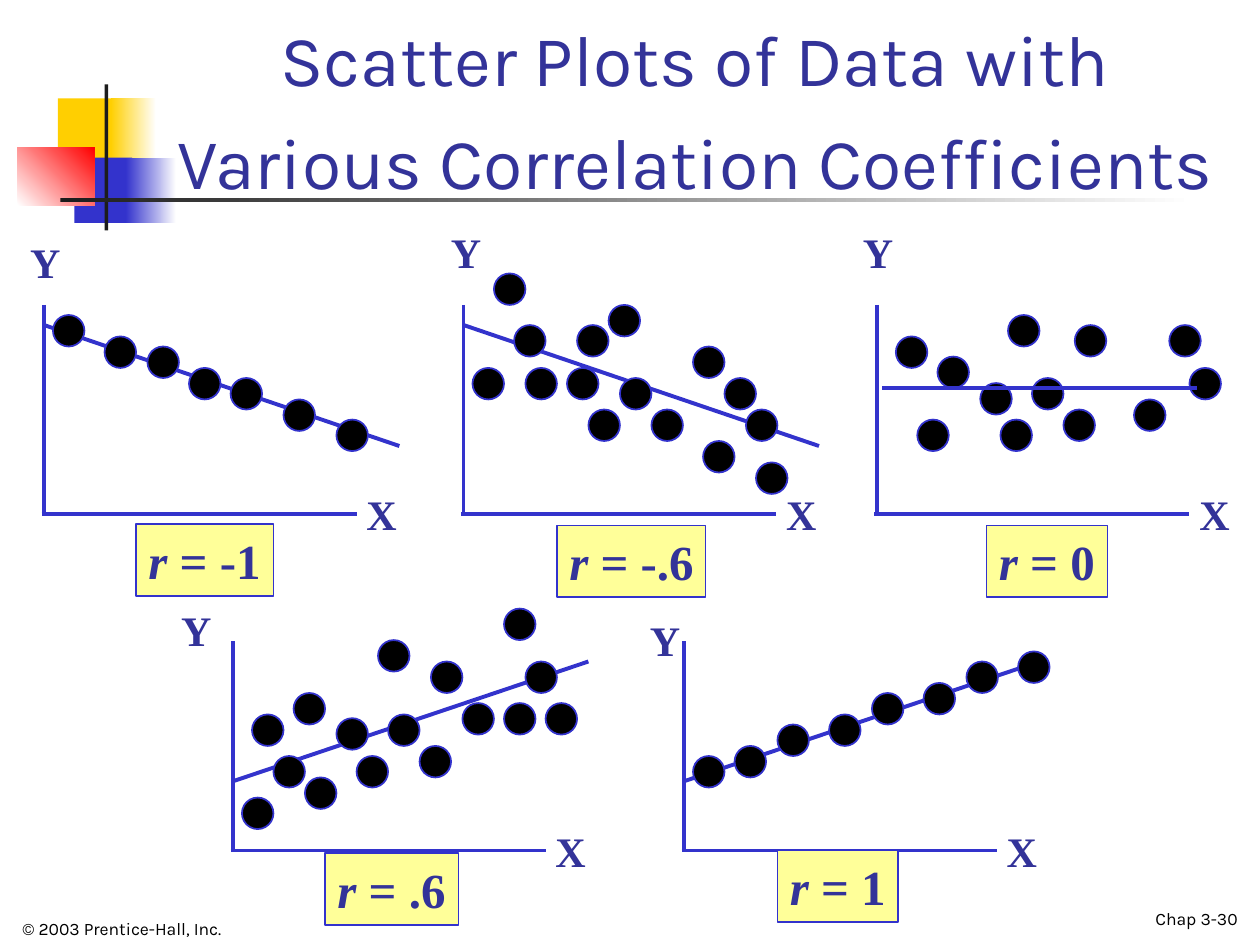
from lxml import etree
from pptx import Presentation
from pptx.dml.color import RGBColor
from pptx.enum import shapes, text
from pptx.oxml.ns import qn
from pptx.util import Inches, Pt

WHITE = RGBColor(0xFF, 0xFF, 0xFF)
BLACK = RGBColor(0x00, 0x00, 0x00)
CHARCOAL = RGBColor(0x1C, 0x1C, 0x1C)
GOLD = RGBColor(0xFF, 0xCF, 0x01)
RED = RGBColor(0xFF, 0x00, 0x00)
BLUE = RGBColor(0x33, 0x33, 0xCC)
NAVY = RGBColor(0x33, 0x33, 0x99)
CREAM = RGBColor(0xFF, 0xFF, 0x99)

DOT = 0.25
AXIS_HEIGHT = 1.66
AXIS_WIDTH = 2.5

deck = Presentation()
deck.slide_width = Inches(10)
deck.slide_height = Inches(7.5)
page = deck.slides.add_slide(deck.slide_layouts[6])


def add_line(start, end, width):
    line = page.shapes.add_connector(
        shapes.MSO_CONNECTOR.STRAIGHT, *(Inches(v) for v in (*start, *end)))
    line.line.color.rgb = BLUE
    line.line.width = Pt(width)
    etree.SubElement(line._element.spPr, qn("a:effectLst"))


def add_text(place, words, font, size, color, align=text.PP_ALIGN.LEFT,
             anchor=text.MSO_ANCHOR.BOTTOM, wrap=True):
    box = page.shapes.add_textbox(*(Inches(v) for v in place))
    frame = box.text_frame
    frame.word_wrap = wrap
    frame.vertical_anchor = anchor
    para = frame.paragraphs[0]
    para.text = words
    para.alignment = align
    para.font.name = font
    para.font.size = Pt(size)
    para.font.color.rgb = color
    return para


# Corner ornament: (place, colours from start to end, gradient angle)
ornament = [
    ((0.46, 0.78, 0.48, 0.52), [GOLD], 0),
    ((0.88, 0.78, 0.36, 0.52), [GOLD, WHITE], 0),
    ((0.59, 1.25, 0.46, 0.52), [BLUE], 0),
    ((1, 1.25, 0.4, 0.52), [BLUE, WHITE], 0),
    ((0.14, 1.17, 0.61, 0.46), [WHITE, RED], 45),
    ((0.83, 0.67, 0.03, 1.16), [CHARCOAL], 0),
    ((0.48, 1.57, 9, 0.03), [CHARCOAL, WHITE], 0),
]
for place, colors, angle in ornament:
    block = page.shapes.add_shape(
        shapes.MSO_SHAPE.RECTANGLE, *(Inches(v) for v in place))
    block.shadow.inherit = False
    block.line.fill.background()
    if len(colors) == 1:
        block.fill.solid()
        block.fill.fore_color.rgb = colors[0]
    else:
        block.fill.gradient()
        block.fill.gradient_angle = angle
        for stop, color, position in zip(block.fill.gradient_stops, colors, (0, 1)):
            stop.color.rgb = color
            stop.position = position

add_text((0.08, 7.16, 4, 0.34), "© 2003 Prentice-Hall, Inc.", "Karla", 10, BLACK)
add_text((7.84, 6.91, 2.08, 0.51), "Chap 3-30", "Karla", 10, BLACK,
         text.PP_ALIGN.RIGHT)
title = add_text((1.26, 0.42, 8.52, 1.25),
                 "Scatter Plots of Data with Various Correlation Coefficients",
                 "Karla", 41, NAVY, text.PP_ALIGN.CENTER)
title.line_spacing = 1.2

# Each plot: lower end of the y axis, Y label, trend ends, dots and r badge
plots = [
    {"origin": (0.35, 4.08), "y_label": (0.14, 1.83),
     "trend": ((0.35, 2.58), (3.17, 3.54)),
     "dots": [(0.42, 2.5), (0.83, 2.67), (1.17, 2.75), (1.5, 2.92), (1.83, 3),
              (2.25, 3.17), (2.67, 3.33)],
     "r": "-1", "badge": (1.08, 4.16, 1.09)},
    {"origin": (3.68, 4.08), "y_label": (3.48, 1.75),
     "trend": ((3.68, 2.58), (6.5, 3.54)),
     "dots": [(3.75, 2.92), (3.92, 2.17), (4.08, 2.58), (4.17, 2.92), (4.5, 2.92),
              (4.58, 2.58), (4.67, 3.25), (4.83, 2.42), (4.92, 3), (5.17, 3.25),
              (5.5, 2.75), (5.58, 3.5), (5.75, 3), (5.92, 3.25), (6, 3.67)],
     "r": "-.6", "badge": (4.42, 4.17, 1.18)},
    {"origin": (6.96, 4.08), "y_label": (6.75, 1.75),
     "trend": ((7, 3.08), (9.5, 3.08)),
     "dots": [(7.11, 2.67), (7.28, 3.33), (7.44, 2.83), (7.78, 3.04), (7.94, 3.33),
              (8, 2.5), (8.19, 3), (8.44, 3.25), (8.53, 2.58), (9, 3.17),
              (9.28, 2.58), (9.44, 2.92)],
     "r": "0", "badge": (7.83, 4.17, 0.96)},
    {"origin": (1.85, 6.75), "y_label": (1.34, 4.75),
     "trend": ((1.85, 6.2), (4.67, 5.25)),
     "dots": [(1.92, 6.33), (2, 5.67), (2.17, 6), (2.33, 5.5), (2.42, 6.17),
              (2.67, 5.7), (2.83, 6), (3, 5.08), (3.08, 5.67), (3.33, 5.92),
              (3.42, 5.25), (3.67, 5.58), (4, 4.83), (4, 5.58), (4.17, 5.25),
              (4.33, 5.58)],
     "r": ".6", "badge": (2.58, 6.77, 1.06)},
    {"origin": (5.43, 6.75), "y_label": (5.06, 4.83),
     "trend": ((5.43, 6.2), (8.25, 5.25)),
     "dots": [(5.5, 6), (5.83, 5.92), (6.17, 5.75), (6.58, 5.67), (6.92, 5.5),
              (7.33, 5.42), (7.67, 5.25), (8.08, 5.17)],
     "r": "1", "badge": (6.17, 6.75, 0.96)},
]
for plot in plots:
    left, bottom = plot["origin"]
    add_line((left, bottom - AXIS_HEIGHT), (left, bottom), 2)
    add_line((left - 0.02, bottom), (left - 0.02 + AXIS_WIDTH, bottom), 2)

    # A flat trend runs in front of its dots, a sloping one behind them
    start, end = plot["trend"]
    flat = start[1] == end[1]
    if not flat:
        add_line(start, end, 2.25)
    for x, y in plot["dots"]:
        dot = page.shapes.add_shape(shapes.MSO_SHAPE.OVAL, Inches(x), Inches(y),
                                    Inches(DOT), Inches(DOT))
        dot.shadow.inherit = False
        dot.fill.solid()
        dot.fill.fore_color.rgb = BLACK
        dot.line.color.rgb = BLUE
        dot.line.width = Pt(1)
    if flat:
        add_line(start, end, 2)

    x_label = (left + 2.46, bottom - 0.25)
    for name, corner in (("Y", plot["y_label"]), ("X", x_label)):
        label = add_text((*corner, 0.44, 0.5), name, "Times New Roman", 24, NAVY,
                         anchor=text.MSO_ANCHOR.TOP, wrap=False)
        label.font.bold = True

    badge_left, badge_top, badge_width = plot["badge"]
    badge = page.shapes.add_shape(
        shapes.MSO_SHAPE.RECTANGLE, Inches(badge_left), Inches(badge_top),
        Inches(badge_width), Inches(0.57))
    badge.shadow.inherit = False
    badge.fill.solid()
    badge.fill.fore_color.rgb = CREAM
    badge.line.color.rgb = BLUE
    badge.line.width = Pt(1)
    badge.text_frame.word_wrap = False
    badge.text_frame.vertical_anchor = text.MSO_ANCHOR.TOP
    para = badge.text_frame.paragraphs[0]
    para.alignment = text.PP_ALIGN.LEFT
    para.font.name = "Times New Roman"
    para.font.size = Pt(28)
    para.font.bold = True
    para.font.color.rgb = NAVY
    for words, italic in (("r", True), (f" = {plot['r']}", False)):
        span = para.add_run()
        span.text = words
        span.font.italic = italic

deck.save("out.pptx")
